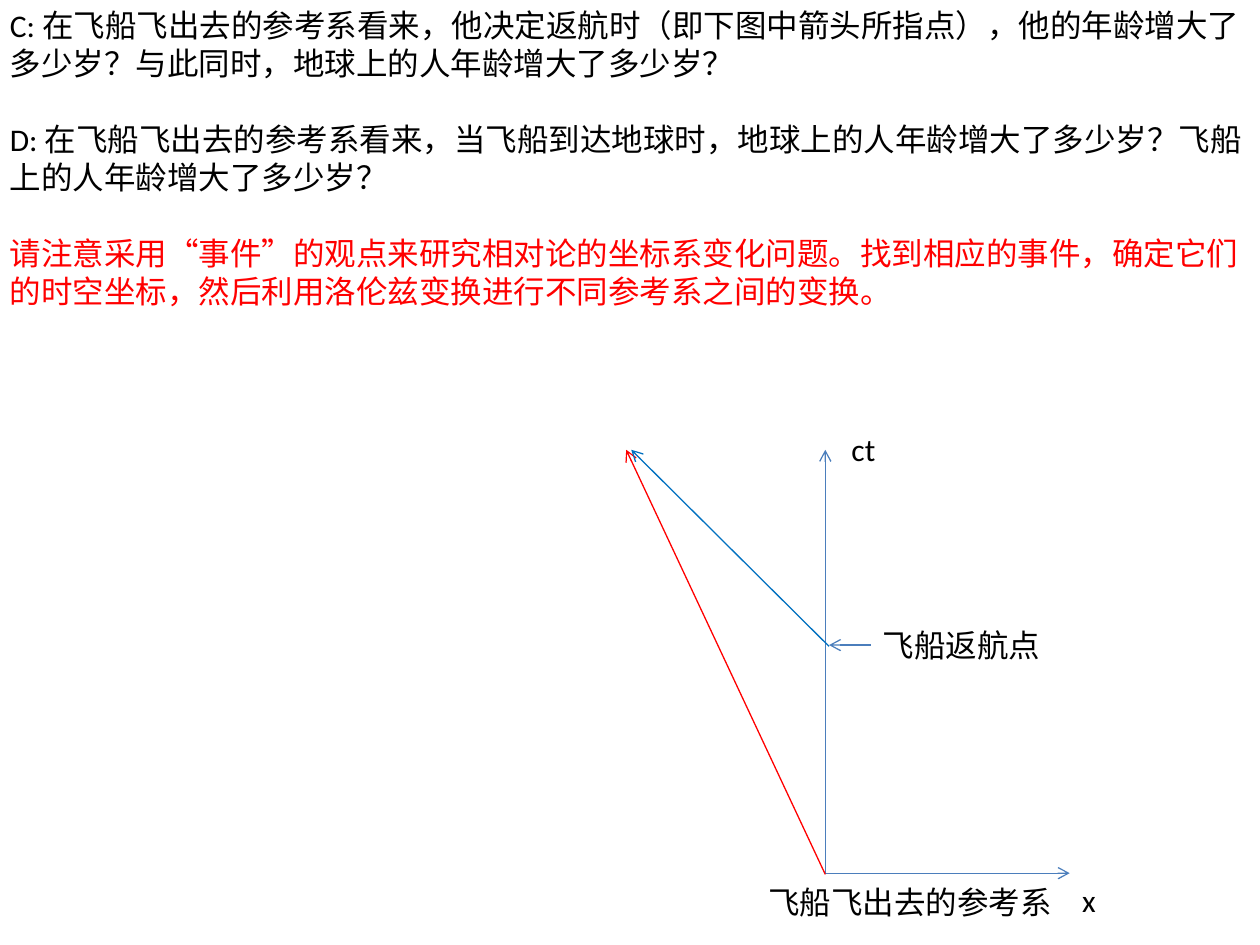
from lxml import etree
from pptx import Presentation
from pptx.dml.color import RGBColor
from pptx.enum.shapes import MSO_CONNECTOR
from pptx.oxml.ns import qn
from pptx.util import Inches, Pt

STRAIGHT = MSO_CONNECTOR.STRAIGHT
BLACK, RED, BLUE, AXIS = "000000", "FF0000", "0070C0", "4B7EBC"
TOP, ORIGIN_X, ORIGIN_Y = 3.57, 6.55, 6.93
TURN_X, TURN_Y = 6.58, 5.12

QUESTIONS = [
    ("C: 在飞船飞出去的参考系看来，他决定返航时（即下图中箭头所指点），他的年龄增大了多少岁？与此同时，地球上的人年龄增大了多少岁？", BLACK),
    ("D: 在飞船飞出去的参考系看来，当飞船到达地球时，地球上的人年龄增大了多少岁？飞船上的人年龄增大了多少岁？", BLACK),
    ("请注意采用“事件”的观点来研究相对论的坐标系变化问题。找到相应的事件，确定它们的时空坐标，然后利用洛伦兹变换进行不同参考系之间的变换。", RED),
]
LABELS = [
    ("x", 8.49, 6.94, 0.35, 0.45),
    ("ct", 6.66, 3.36, 0.5, 0.51),
    ("飞船飞出去的参考系", 6, 6.96, 2.48, 0.4),
    ("飞船返航点", 6.91, 4.92, 2.76, 0.4),
]
ARROWS = [
    (ORIGIN_X, ORIGIN_Y, ORIGIN_X, TOP, AXIS),
    (ORIGIN_X, ORIGIN_Y, 8.49, ORIGIN_Y, AXIS),
    (ORIGIN_X, 6.94, 4.97, TOP, RED),
    (TURN_X, 5.13, 5.01, TOP, BLUE),
    (6.91, TURN_Y, TURN_X, TURN_Y, AXIS),
]


def rgb(value):
    """Turn a hex string into a colour."""
    return RGBColor.from_string(value)


def add_text(s, paragraphs, x, y, w, h, gap=0):
    """Add a wrapped text box with one coloured run per paragraph."""
    tf = s.shapes.add_textbox(Inches(x), Inches(y), Inches(w), Inches(h)).text_frame
    tf.word_wrap = True
    for i, (text, color) in enumerate(paragraphs):
        p = tf.add_paragraph() if i else tf.paragraphs[0]
        p.space_before = Pt(gap if i else 0)
        r = p.add_run()
        r.text = text
        r.font.size = Pt(18)
        r.font.name = "Calibri"
        r.font.color.rgb = rgb(color)


def add_arrow(s, x1, y1, x2, y2, color):
    """Add a thin line with an open arrowhead at its end."""
    c = s.shapes.add_connector(STRAIGHT, Inches(x1), Inches(y1), Inches(x2), Inches(y2))
    c.line.color.rgb = rgb(color)
    c.line.width = Pt(0.75)
    etree.SubElement(c.line._get_or_add_ln(), qn("a:tailEnd"), type="arrow")
    etree.SubElement(c._element.spPr, qn("a:effectLst"))


def main():
    """Build the questions and the spacetime diagram."""
    prs = Presentation()
    prs.slide_width, prs.slide_height = Inches(10), Inches(7.5)
    s = prs.slides.add_slide(prs.slide_layouts[6])
    add_text(s, QUESTIONS, -0.02, 0, 10, 2.52, gap=22)
    for arrow in ARROWS:
        add_arrow(s, *arrow)
    for text, *box in LABELS:
        add_text(s, [(text, BLACK)], *box)
    prs.save("out.pptx")


if __name__ == "__main__":
    main()
